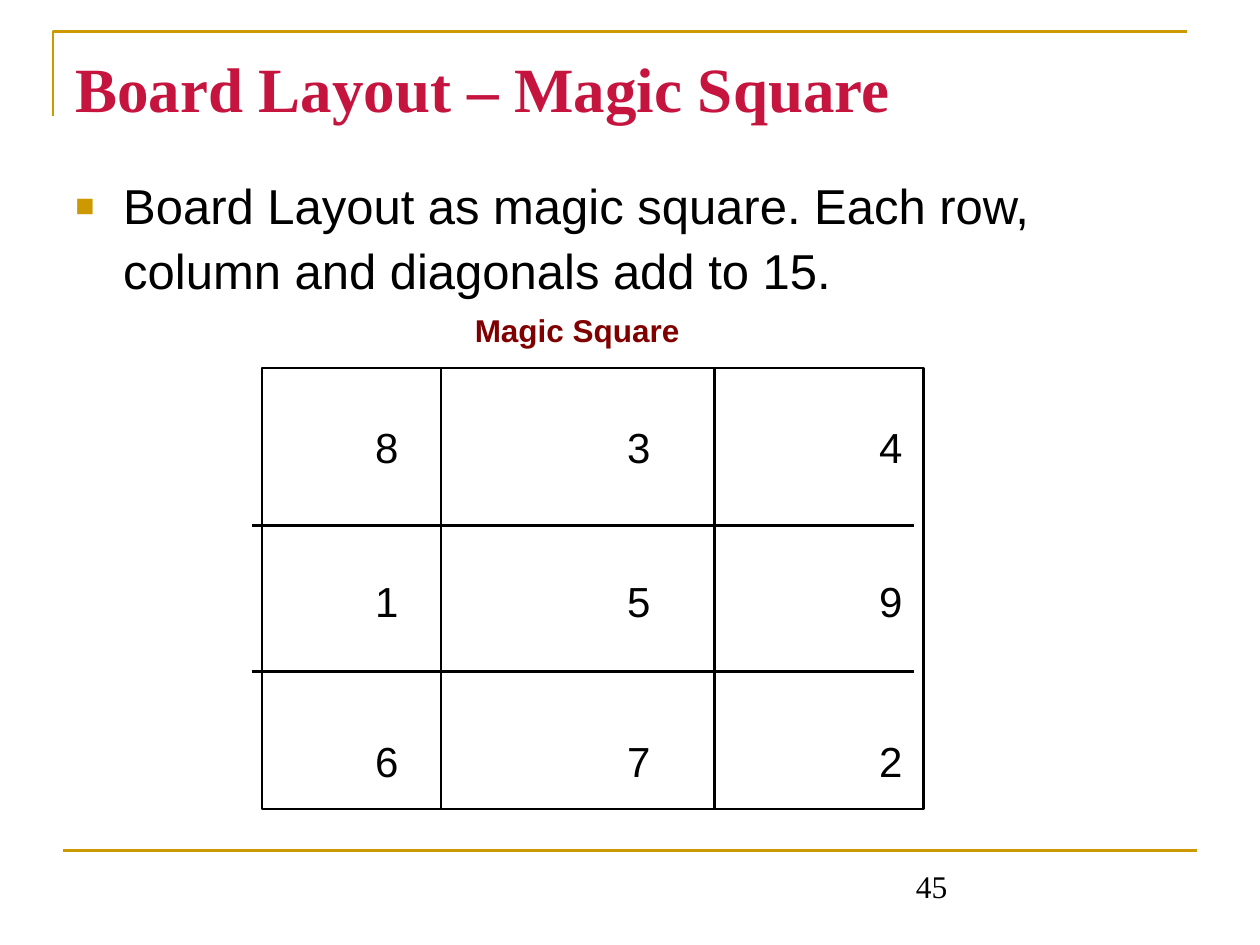
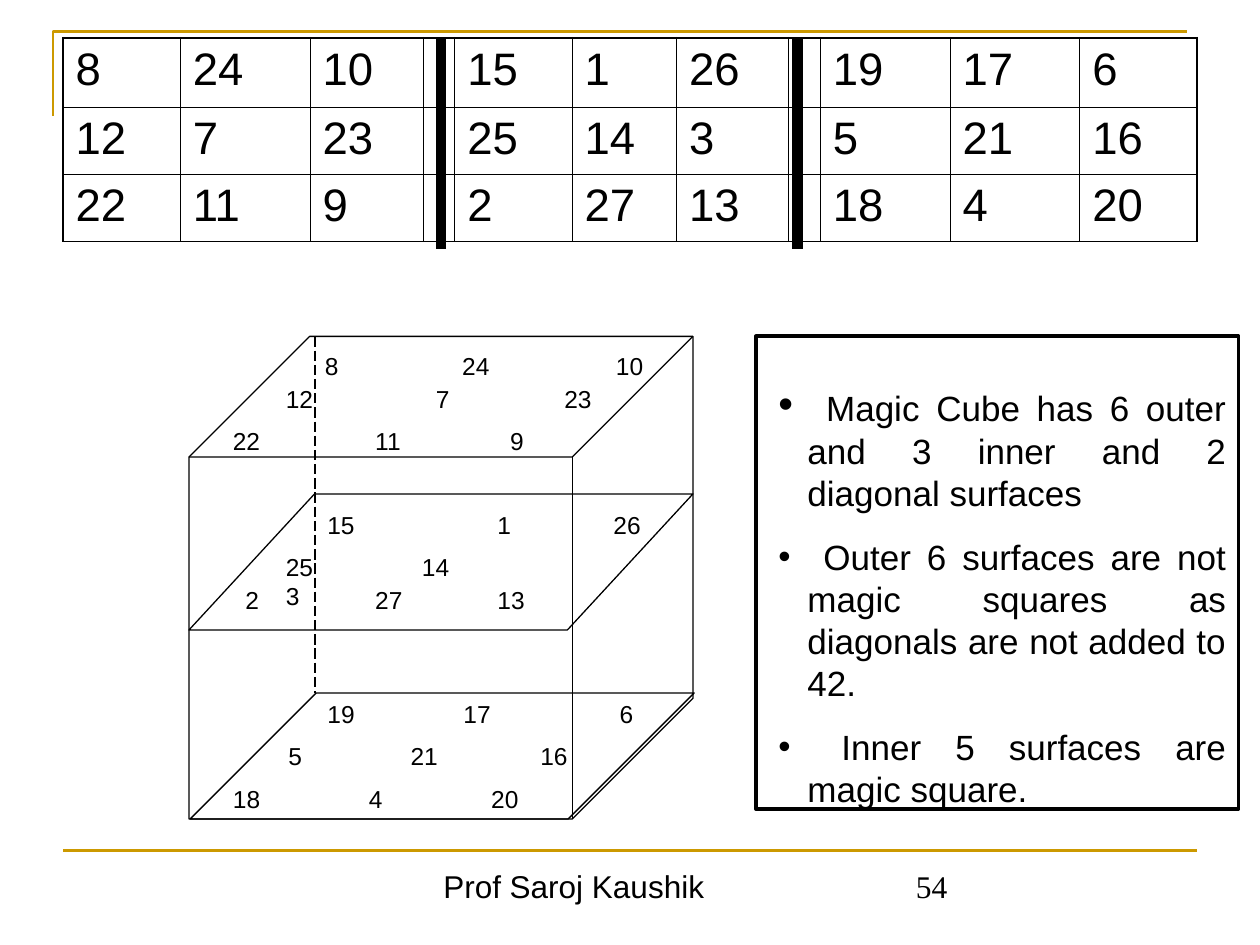
"""Build two slides on the magic square and the magic cube."""
import dataclasses

import lxml.etree
import pptx
import pptx.dml.color
import pptx.enum.dml
import pptx.enum.shapes
import pptx.enum.text
import pptx.oxml.ns
import pptx.util

Inches = pptx.util.Inches
Pt = pptx.util.Pt
SHAPE = pptx.enum.shapes.MSO_SHAPE
NBSP = chr(160)


@dataclasses.dataclass(frozen=True)
class Theme:
    """Colours, fonts, type sizes and line widths of the deck."""
    gold: str = "CC9900"
    crimson: str = "C5153F"
    maroon: str = "800000"
    black: str = "000000"
    serif: str = "Times New Roman"
    sans: str = "Arial"
    title: float = 36
    body: float = 28
    cell: float = 26
    lead: float = 24
    note: float = 20
    small: float = 18
    cube: float = 14
    rule: float = 1.5
    thin: float = 0.75
    bar: float = 6
    frame: float = 2.25
    cell_outer: float = 1.08
    cell_inner: float = 0.45


T = Theme()


def rgb(color):
    """Return a colour object for a hex string."""
    return pptx.dml.color.RGBColor.from_string(color)


def add_xml(parent, tag, **attrs):
    """Append a DrawingML element to a parent."""
    return lxml.etree.SubElement(parent, pptx.oxml.ns.qn(tag), attrs)


def set_font(p, size, color=T.black, name=T.sans, bold=False):
    """Set the font of a paragraph or run."""
    p.font.size = Pt(size)
    p.font.name = name
    p.font.bold = bold
    p.font.color.rgb = rgb(color)


def set_bullet(p, char, hang, color, percent=100):
    """Give a paragraph a coloured bullet with a hanging indent."""
    pPr = p._p.get_or_add_pPr()
    pPr.set("marL", str(Inches(hang)))
    pPr.set("indent", str(-Inches(hang)))
    add_xml(add_xml(pPr, "a:buClr"), "a:srgbClr", val=color)
    add_xml(pPr, "a:buSzPct", val=str(percent * 1000))
    add_xml(pPr, "a:buFont", typeface=T.sans)
    add_xml(pPr, "a:buChar", char=char)


def add_box(s, x, y, w, h):
    """Add an empty wrapping text box and return its frame."""
    tf = s.shapes.add_textbox(Inches(x), Inches(y), Inches(w), Inches(h)).text_frame
    tf.word_wrap = True
    return tf


def add_text(s, x, y, w, h, text, size, **font):
    """Add a text box holding one paragraph."""
    p = add_box(s, x, y, w, h).paragraphs[0]
    p.text = text
    set_font(p, size, **font)


def add_numbers(s, x, y, text, gaps, size):
    """Add a row of numbers set on tab stops."""
    p = add_box(s, x, y, max(gaps) + 0.7, size / 60 + 0.1).paragraphs[0]
    p.text = text
    tabs = add_xml(p._p.get_or_add_pPr(), "a:tabLst")
    for gap in gaps:
        add_xml(tabs, "a:tab", pos=str(Inches(gap)), algn="l")
    set_font(p, size)


def add_line(s, x1, y1, x2, y2, width, color=T.black, dash=None):
    """Add a straight line without a shadow."""
    line = s.shapes.add_connector(pptx.enum.shapes.MSO_CONNECTOR.STRAIGHT,
                                  Inches(x1), Inches(y1), Inches(x2), Inches(y2))
    line.line.width = Pt(width)
    line.line.color.rgb = rgb(color)
    if dash:
        line.line.dash_style = dash
    add_xml(line._element.spPr, "a:effectLst")


def style_outline(sp, width, color=T.black):
    """Leave a shape unfilled with a plain outline."""
    sp.shadow.inherit = False
    sp.fill.background()
    sp.line.width = Pt(width)
    sp.line.color.rgb = rgb(color)


def add_outline(s, kind, x, y, w, h, width, adjust=None):
    """Add an unfilled preset shape."""
    sp = s.shapes.add_shape(kind, Inches(x), Inches(y), Inches(w), Inches(h))
    if adjust is not None:
        sp.adjustments[0] = adjust
    style_outline(sp, width)


def new_slide(prs, number, footer=None):
    """Add a slide with the gold rules and the footer."""
    s = prs.slides.add_slide(prs.slide_layouts[6])
    corner = s.shapes.build_freeform(Inches(0.42), Inches(0.92))
    corner.add_line_segments([(Inches(0.42), Inches(0.25)),
                              (Inches(9.42), Inches(0.25))], close=False)
    style_outline(corner.convert_to_shape(), T.rule, T.gold)
    add_line(s, 0.5, 6.75, 9.5, 6.75, T.rule, T.gold)
    if footer:
        add_text(s, 3.42, 6.83, 3.17, 0.5, footer, T.small)
    add_text(s, 7.17, 6.83, 2.33, 0.5, number, T.small, name=T.serif)
    return s


def add_board(s, x, y, w, h):
    """Draw the three by three board and its numbers."""
    for dx in (1.42, 3.59):
        add_line(s, x + dx, y, x + dx, y + h, T.rule)
    for dy in (1.25, 2.41):
        add_line(s, x - 0.08, y + dy, x + w - 0.08, y + dy, T.rule)
    add_text(s, x + 1.59, y - 0.5, 2.17, 0.4, "Magic Square", T.small,
             color=T.maroon, bold=True)
    for dy, row in ((0.38, "8\t3\t4"), (1.6, "1\t5\t9"), (2.87, "6\t7\t2")):
        add_numbers(s, x + 0.8, y + dy, row, (2, 4), T.lead)
    add_outline(s, SHAPE.RECTANGLE, x, y, w, h, T.rule)


def build_square_slide(prs):
    """Build the magic square slide."""
    s = new_slide(prs, "45")
    add_text(s, 0.5, 0.34, 9, 0.75, "Board Layout – Magic Square", T.title,
             color=T.crimson, name=T.serif, bold=True)
    p = add_box(s, 0.5, 1.3, 9, 1.1).paragraphs[0]
    p.text = "Board Layout as magic square. Each row, column and diagonals add to 15."
    p.line_spacing = 1.1
    set_bullet(p, "■", 0.38, T.gold, 65)
    set_font(p, T.body)
    add_board(s, 2.08, 2.92, 5.25, 3.5)


def set_borders(cell, widths):
    """Set the left, right, top and bottom borders of a cell."""
    tcPr = cell._tc.get_or_add_tcPr()
    for i, (side, width) in enumerate(zip("LRTB", widths)):
        ln = add_xml(tcPr, f"a:ln{side}", w=str(Pt(width)))
        add_xml(add_xml(ln, "a:solidFill"), "a:srgbClr", val=T.black)
        tcPr.insert(i, ln)


def add_layers_table(s, x, y, w, h):
    """Add the table of the three cube layers with bars between them."""
    rows = (("8", "24", "10", "", "15", "1", "26", "", "19", "17", "6"),
            ("12", "7", "23", "", "25", "14", "3", "", "5", "21", "16"),
            ("22", "11", "9", "", "2", "27", "13", "", "18", "4", "20"))
    widths = (0.93, 1.03, 0.9, 0.25, 0.93, 0.83, 0.89, 0.25, 1.03, 1.03, 0.93)
    table = s.shapes.add_table(len(rows), len(widths), Inches(x), Inches(y),
                               Inches(w), Inches(h)).table
    table.first_row = table.horz_banding = False
    for col, width in zip(table.columns, widths):
        col.width = Inches(width)
    for row, height in zip(table.rows, (0.55, 0.53, 0.53)):
        row.height = Inches(height)
    last_row, last_col = len(rows) - 1, len(widths) - 1
    for i, row in enumerate(rows):
        for j, value in enumerate(row):
            cell = table.cell(i, j)
            cell.text = value
            cell.fill.background()
            set_font(cell.text_frame.paragraphs[0], T.cell if value else T.small)
            edges = (j == 0, j == last_col, i == 0, i == last_row)
            set_borders(cell, [T.cell_outer if edge else T.cell_inner for edge in edges])
    for dx in (3, 5.83):
        add_line(s, x + dx, y + 0.01, x + dx, y + h + 0.07, T.bar)


def add_cube(s, x, y, w, h):
    """Draw the cube with its three layers of numbers."""
    add_outline(s, SHAPE.CUBE, x, y, w, h, T.thin, 0.25)
    add_outline(s, SHAPE.PARALLELOGRAM, x, y + 1.25, w, 1.08, T.thin, 0.923)
    add_outline(s, SHAPE.PARALLELOGRAM, x + 0.01, y + 2.83, w, 1, T.thin, 1)
    add_line(s, x + 1, y, x + 1, y + 2.83, T.thin,
             dash=pptx.enum.dml.MSO_LINE.LONG_DASH)
    layers = ((0.98, 0.07, "8\t24\t10", (1.09, 2.31)),
              (0.67, 0.33, "12\t7\t23", (1.19, 2.21)),
              (0.25, 0.66, "22\t11\t9", (1.13, 2.2)),
              (1, 1.33, "15\t1\t26", (1.35, 2.27)),
              (0.67, 1.66, "25\t14\v3", (1.08,)),
              (0.35, 1.92, "2\t27\t13", (1.03, 2)),
              (1, 2.83, "19\t17\t6", (1.08, 2.32)),
              (0.69, 3.16, "5\t21\t16", (0.97, 2)),
              (0.25, 3.5, "18\t4\t20", (1.08, 2.05)))
    for dx, dy, row, gaps in layers:
        add_numbers(s, x + dx, y + dy, row, gaps, T.cube)


def add_facts(s, x, y, w, h):
    """Add the framed list of facts on the cube."""
    facts = ((T.lead, f"Magic Cube has 6 outer and 3 inner and 2 diagonal{NBSP}surfaces"),
             (T.note, "Outer 6 surfaces are not magic squares as diagonals "
                      "are not added to 42."),
             (T.note, "Inner 5 surfaces are magic square."))
    tf = add_box(s, x + 0.08, y + 0.29, w - 0.08, h - 0.29)
    for i, (lead_size, fact) in enumerate(facts):
        p = tf.add_paragraph() if i else tf.paragraphs[0]
        p.alignment = pptx.enum.text.PP_ALIGN.JUSTIFY
        if i:
            p.space_before = Pt(12.5)
        set_bullet(p, "•", 0.23, T.black)
        for text, size in ((" ", lead_size), (fact, T.note)):
            r = p.add_run()
            r.text = text
            set_font(r, size)
    add_outline(s, SHAPE.RECTANGLE, x, y, w, h, T.frame)


def build_cube_slide(prs):
    """Build the magic cube slide."""
    s = new_slide(prs, "54", "Prof Saroj Kaushik")
    add_cube(s, 1.5, 2.67, 4, 3.83)
    add_layers_table(s, 0.5, 0.3, 9, 1.61)
    add_facts(s, 6, 2.67, 3.83, 3.75)


def main():
    """Build and save the deck."""
    prs = pptx.Presentation()
    prs.slide_width = Inches(10)
    prs.slide_height = Inches(7.5)
    build_square_slide(prs)
    build_cube_slide(prs)
    prs.save("out.pptx")


if __name__ == "__main__":
    main()
